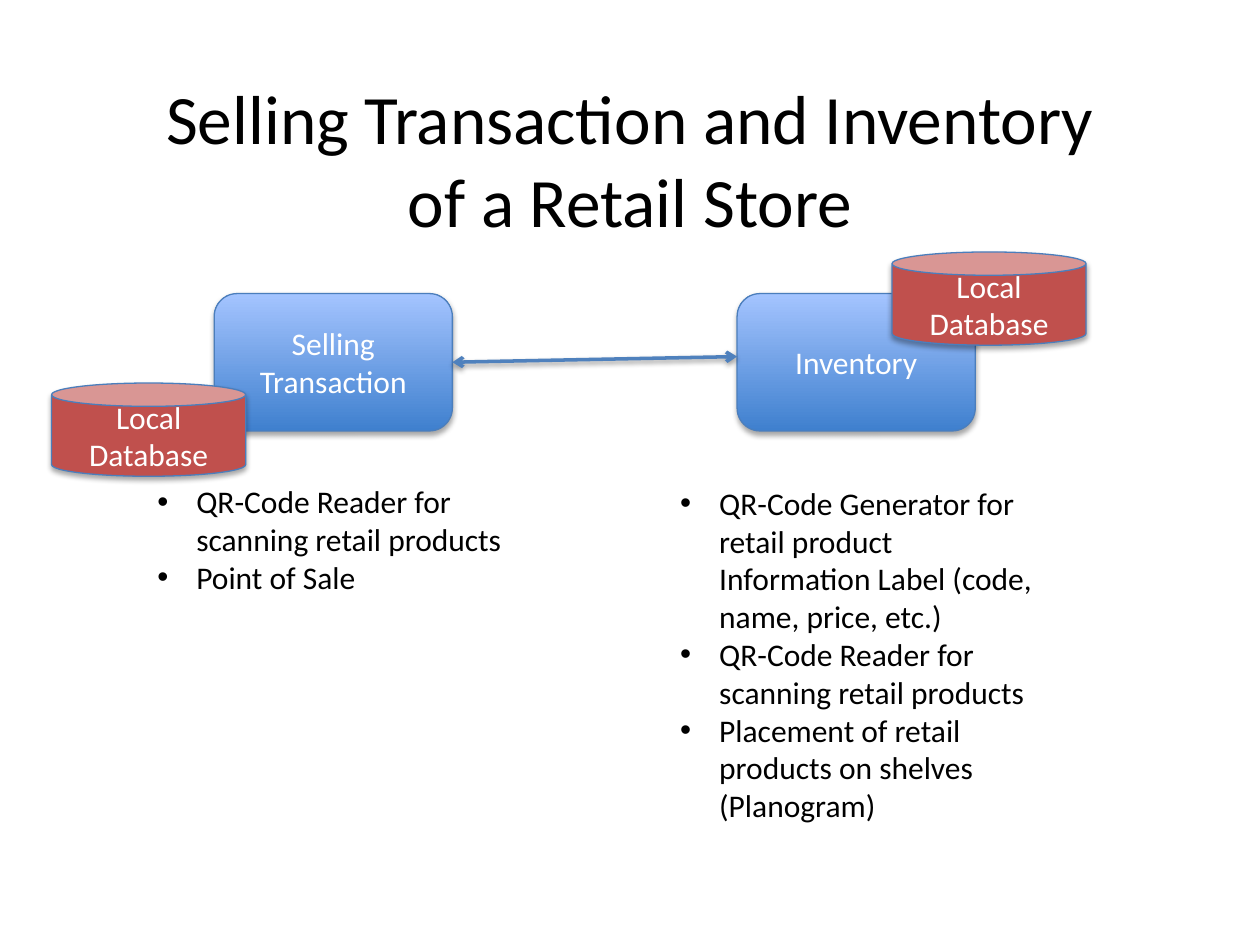
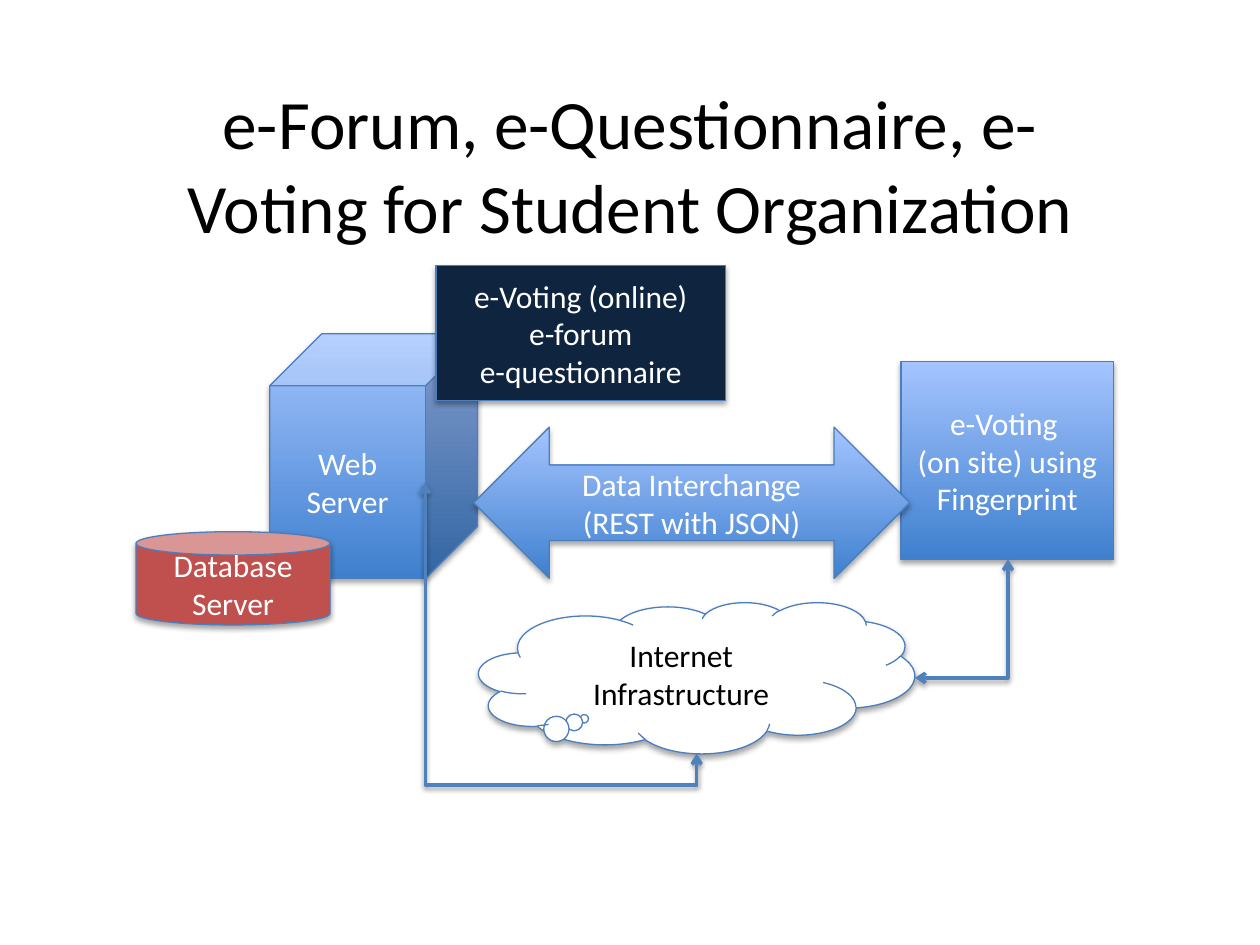
from dataclasses import dataclass

from lxml import etree
from pptx import Presentation
from pptx import util as u
from pptx.dml import color as dml
from pptx.enum import shapes, text
from pptx.oxml import ns


@dataclass(frozen=True)
class Theme:
    font: str = "Calibri"
    title_size: float = 39.6
    body_size: float = 18
    dark: str = "000000"
    light: str = "FFFFFF"
    gradient: tuple = ("3F80CE", "A4C4FF")
    database: str = "C0504D"
    navy: str = "0F243E"
    outline: str = "4B7EBC"
    arrow: str = "4F81BD"
    outline_width: float = 0.75
    arrow_width: float = 2


def rgb(value):
    return dml.RGBColor.from_string(value)


def add_node(parent, tag, **attributes):
    node = etree.SubElement(parent, ns.qn(tag))
    for name, value in attributes.items():
        node.set(name, str(value))
    return node


def write(frame, lines, *, font, size, color, align=text.PP_ALIGN.CENTER,
          anchor=text.MSO_ANCHOR.MIDDLE, bullet=None, indent=0.31):
    frame.word_wrap = True
    frame.vertical_anchor = anchor
    for index, line in enumerate(lines):
        para = frame.paragraphs[0] if index == 0 else frame.add_paragraph()
        para.alignment = align
        span = para.add_run()
        span.text = line
        span.font.name = font
        span.font.size = u.Pt(size)
        span.font.color.rgb = rgb(color)
        if bullet:
            properties = para._p.get_or_add_pPr()
            properties.set("marL", str(u.Inches(indent)))
            properties.set("indent", str(-u.Inches(indent)))
            add_node(properties, "a:buFont", typeface="Arial")
            add_node(properties, "a:buChar", char=bullet)


def add_shadow(element, distance, opacity):
    properties = element.spPr
    effects = properties.find(ns.qn("a:effectLst"))
    if effects is None:
        effects = add_node(properties, "a:effectLst")
    shadow = add_node(effects, "a:outerShdw", blurRad=u.Pt(3.1), dist=u.Pt(distance),
                      dir=5400000, rotWithShape=0)
    tint = add_node(shadow, "a:srgbClr", val="000000")
    add_node(tint, "a:alpha", val=opacity * 1000)


class SlideBuilder:
    def __init__(self, deck, theme):
        self.deck = deck
        self.theme = theme
        self.page = None

    def start_page(self, title, top):
        self.page = self.deck.slides.add_slide(self.deck.slide_layouts[6])
        box = self.add_box(1, top, 8, 1.26)
        write(box.text_frame, [title], font=self.theme.font,
              size=self.theme.title_size, color=self.theme.dark)

    def add_box(self, *place):
        return self.page.shapes.add_textbox(*map(u.Inches, place))

    def bullets(self, place, lines):
        write(self.add_box(*place).text_frame, lines, font=self.theme.font,
              size=self.theme.body_size, color=self.theme.dark,
              align=text.PP_ALIGN.LEFT, anchor=text.MSO_ANCHOR.TOP, bullet="•")

    def block(self, kind, place, lines, fill=None, color=None):
        theme = self.theme
        shape = self.page.shapes.add_shape(kind, *map(u.Inches, place))
        if fill:
            shape.fill.solid()
            shape.fill.fore_color.rgb = rgb(fill)
        else:
            shape.fill.gradient()
            shape.fill.gradient_angle = 90
            for stop, value in zip(shape.fill.gradient_stops, theme.gradient):
                stop.color.rgb = rgb(value)
        shape.line.color.rgb = rgb(theme.outline)
        shape.line.width = u.Pt(theme.outline_width)
        shape.shadow.inherit = False
        add_shadow(shape._element, 1.8, 35)
        write(shape.text_frame, lines, font=theme.font, size=theme.body_size,
              color=color or theme.light)
        return shape

    def database(self, left, top, lines):
        return self.block(shapes.MSO_SHAPE.CAN, (left, top, 1.54, 0.74), lines,
                          fill=self.theme.database)

    def double_arrow(self, start, end, kind=shapes.MSO_CONNECTOR.STRAIGHT):
        line = self.page.shapes.add_connector(kind, *map(u.Inches, start + end))
        line.line.color.rgb = rgb(self.theme.arrow)
        line.line.width = u.Pt(self.theme.arrow_width)
        stroke = line._element.spPr.find(ns.qn("a:ln"))
        for tag in ("a:headEnd", "a:tailEnd"):
            add_node(stroke, tag, type="arrow")
        add_shadow(line._element, 1.6, 38)
        return line

    def bent_arrow(self, start, end, preset, adjustments=(), quarter_turns=0):
        line = self.double_arrow(start, end, shapes.MSO_CONNECTOR.ELBOW)
        properties = line._element.spPr
        if quarter_turns:
            properties.find(ns.qn("a:xfrm")).set("rot", str(quarter_turns * 5400000))
        geometry = properties.find(ns.qn("a:prstGeom"))
        geometry.set("prst", preset)
        guides = geometry.find(ns.qn("a:avLst"))
        for number, value in enumerate(adjustments, 1):
            add_node(guides, "a:gd", name=f"adj{number}", fmla=f"val {round(value * 100000)}")
        return line


def build_retail_store(builder):
    builder.start_page("Selling Transaction and Inventory of a Retail Store", 0.63)
    process = shapes.MSO_SHAPE.FLOWCHART_ALTERNATE_PROCESS
    selling, _ = [builder.block(process, (left, 2.33, 1.89, 1.09), [label])
                  for left, label in ((1.7, "Selling Transaction"), (5.85, "Inventory"))]
    exchange = builder.double_arrow((3.59, 2.87), (5.85, 2.83))
    exchange.begin_connect(selling, 3)
    builder.bullets((1.15, 3.78, 3, 1.31), [
        "QR-Code Reader for scanning retail products",
        "Point of Sale",
    ])
    builder.bullets((5.3, 3.79, 3, 3.43), [
        "QR-Code Generator for retail product Information Label (code, name, price, etc.)",
        "QR-Code Reader for scanning retail products",
        "Placement of retail products on shelves (Planogram)",
    ])
    for left, top in ((0.41, 3.04), (7.08, 2)):
        builder.database(left, top, ["Local Database"])


def build_student_organization(builder):
    theme = builder.theme
    preset = shapes.MSO_SHAPE
    builder.start_page("e-Forum, e-Questionnaire, e-Voting for Student Organization", 0.67)
    builder.block(preset.CUBE, (2.14, 2.65, 1.65, 1.94), ["Web Server"])
    builder.block(preset.RECTANGLE, (7.15, 2.87, 1.69, 1.57),
                  ["e-Voting ", "(on site) using Fingerprint"])
    builder.database(1.08, 4.22, ["Database", "Server"])
    builder.block(preset.RECTANGLE, (3.46, 2.11, 2.3, 1.07),
                  ["e-Voting (online)", "e-forum", "e-questionnaire"], fill=theme.navy)
    cloud = builder.block(preset.CLOUD_CALLOUT, (3.8, 4.78, 3.46, 1.2),
                          ["Internet Infrastructure"], fill=theme.light, color=theme.dark)
    cloud.adjustments[0] = -0.258
    cloud.adjustments[1] = 0.271
    builder.bent_arrow((7.16, 4.54), (8.1, 5.28), "bentConnector2", quarter_turns=1)
    builder.bent_arrow((3.37, 3.83), (5.53, 5.98), "bentConnector4", (0.003, 1.116))
    builder.block(preset.LEFT_RIGHT_ARROW, (3.76, 3.39, 3.46, 1.2),
                  ["Data Interchange", "(REST with JSON)"])


def main():
    deck = Presentation()
    deck.slide_width = u.Inches(10)
    deck.slide_height = u.Inches(7.5)
    builder = SlideBuilder(deck, Theme())
    build_retail_store(builder)
    build_student_organization(builder)
    deck.save("out.pptx")


if __name__ == "__main__":
    main()
